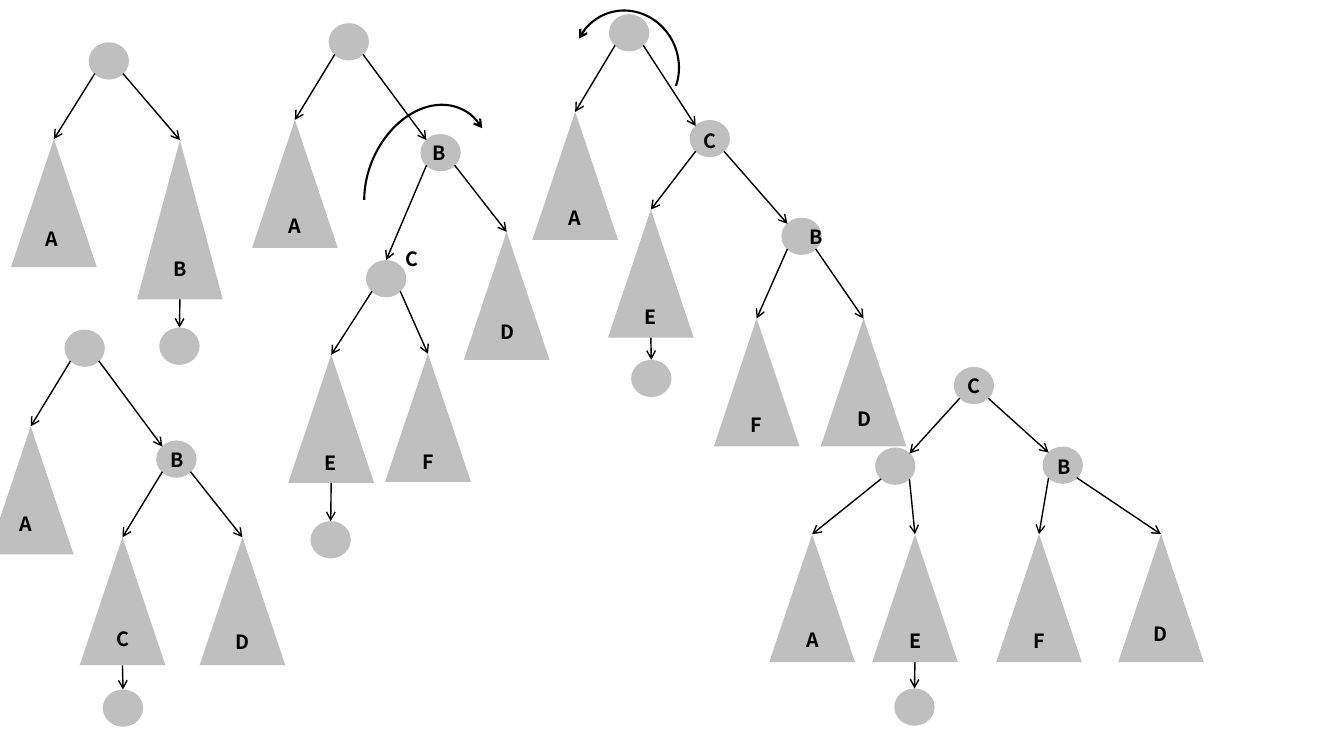
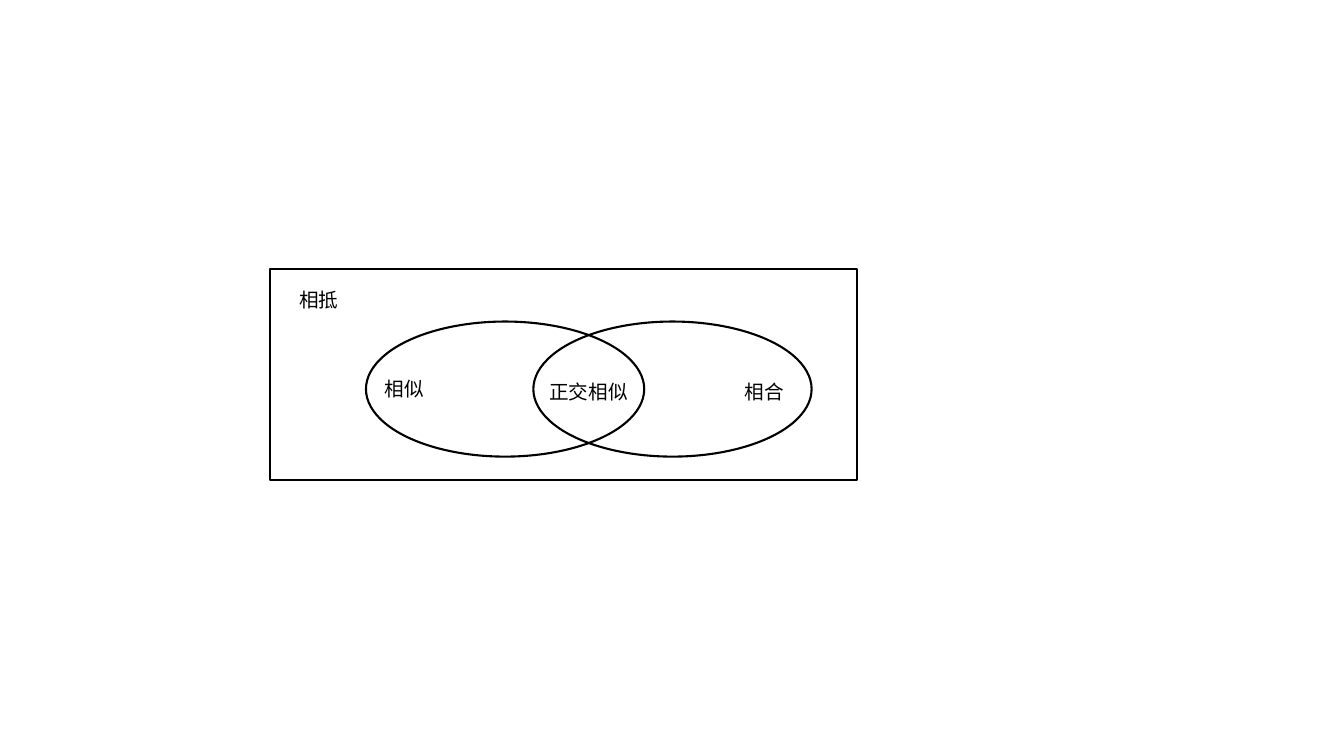
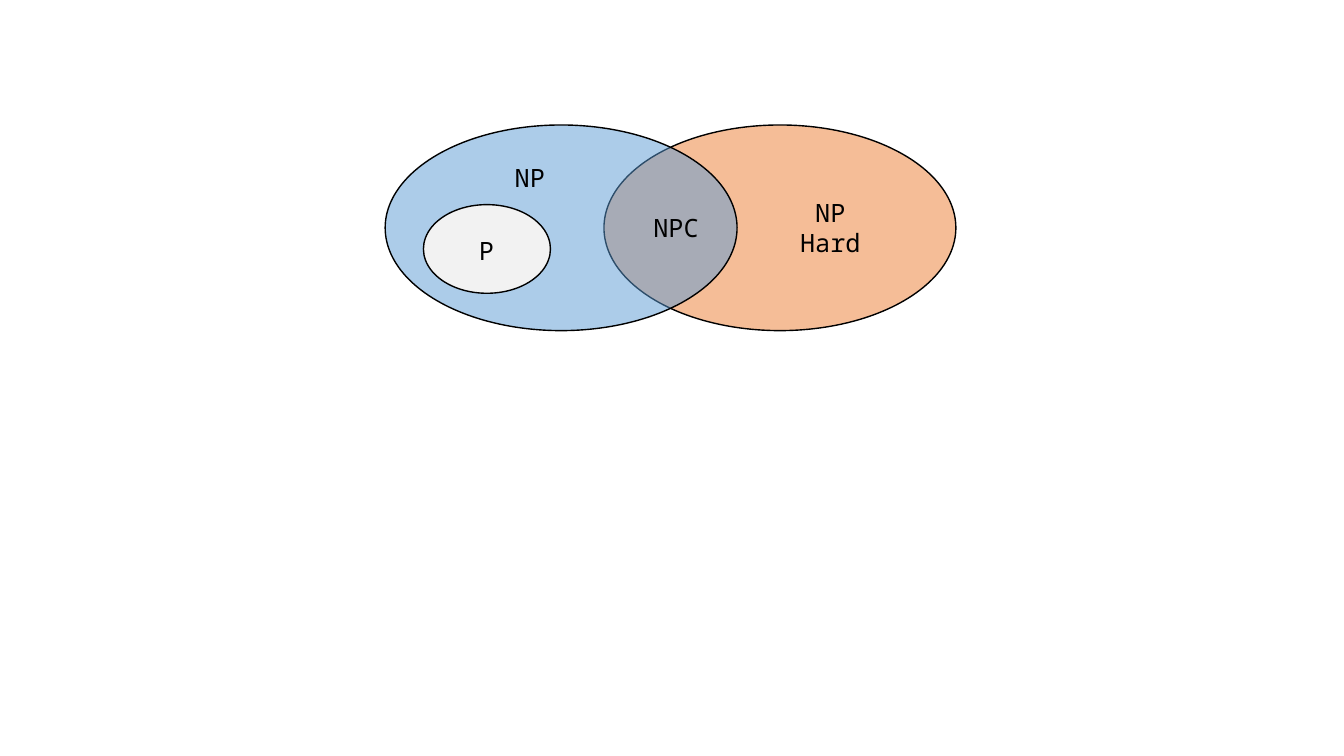
"""Build three diagram slides: tree rotations, similarity sets and complexity classes."""
from lxml.etree import SubElement
from pptx import Presentation
from pptx.dml.color import RGBColor
from pptx.enum.shapes import MSO_CONNECTOR, MSO_SHAPE
from pptx.enum.text import MSO_AUTO_SIZE, PP_ALIGN
from pptx.oxml.ns import qn
from pptx.util import Inches, Pt

BLACK = RGBColor(0x00, 0x00, 0x00)
GREY = RGBColor(0xBF, 0xBF, 0xBF)
PALE = RGBColor(0xF2, 0xF2, 0xF2)
BLUE = RGBColor(0x5B, 0x9B, 0xD5)
ORANGE = RGBColor(0xED, 0x7D, 0x31)

CIRCLE_W, CIRCLE_H = 0.4, 0.37
TRIANGLE_W, TRIANGLE_H = 0.85, 1.27
LABEL_W, LABEL_H = 0.66, 0.34
INSET = 0.06

TREE_LABEL = {"name": "Noto Sans CJK SC", "size": Pt(14), "bold": True}
SET_LABEL = {"name": "Noto Sans Mono", "size": Pt(14)}
CLASS_LABEL = {"name": "Noto Sans Mono", "size": Pt(18)}

TREES = [
    {"circles": {"root": (0.88, 0.42), "leaf": (1.58, 3.25)},
     "triangles": {"A": (0.11, 1.38), "B": (1.36, 1.39, 1.58)},
     "labels": {"A": (0.18, 2.2), "B": (1.46, 2.5)},
     "edges": ["root A", "root B", "B leaf"]},
    {"circles": {"root": (0.64, 3.27), "B": (1.55, 4.37), "leaf": (1.02, 6.84)},
     "triangles": {"A": (-0.12, 4.23), "C": (0.79, 5.33), "D": (1.98, 5.33)},
     "labels": {"A": (-0.07, 5.03), "B": (1.43, 4.39), "C": (0.89, 6.17),
                "D": (2.08, 6.2)},
     "edges": ["root A", "root B", "B C", "B D", "C leaf"]},
    {"circles": {"root": (3.26, 0.23), "B": (4.17, 1.33), "C": (3.63, 2.58),
                 "leaf": (3.08, 5.17)},
     "triangles": {"A": (2.5, 1.19), "D": (4.6, 2.3), "E": (2.86, 3.52),
                   "F": (3.82, 3.51)},
     "labels": {"A": (2.59, 2.07), "B": (4.03, 1.35), "C": (3.76, 2.4),
                "D": (4.7, 3.12), "E": (2.95, 4.42), "F": (3.92, 4.41)},
     "edges": ["root A", "root B", "B C", "B D", "C E", "C F", "E leaf"]},
    {"circles": {"root": (6.04, 0.14), "C": (6.84, 1.19), "B": (7.75, 2.16),
                 "leaf": (6.26, 3.57)},
     "triangles": {"A": (5.28, 1.11), "E": (6.03, 2.08), "F": (7.08, 3.16),
                   "D": (8.14, 3.16)},
     "labels": {"A": (5.37, 1.99), "B": (7.77, 2.18), "C": (6.71, 1.23),
                "D": (8.24, 3.99), "E": (6.12, 2.98), "F": (7.17, 4.05)},
     "edges": ["root A", "root C", "C E", "C B", "B F", "B D", "E leaf"]},
    {"circles": {"C": (9.46, 3.64), "root": (8.68, 4.44), "B": (10.34, 4.43),
                 "leaf": (8.87, 6.83)},
     "triangles": {"A": (7.63, 5.3), "E": (8.65, 5.3), "F": (9.88, 5.3),
                   "D": (11.09, 5.3)},
     "labels": {"A": (7.73, 6.18), "B": (10.23, 4.46), "C": (9.33, 3.66),
                "D": (11.18, 6.12), "E": (8.75, 6.19), "F": (9.98, 6.19)},
     "edges": ["C root", "C B", "root A", "root E", "B F", "B D", "E leaf"]},
]
ROTATIONS = [
    ((3.44, 1.22, 1.61, 1.19), 293.3, (139.12, 12.85), "tailEnd"),
    ((5.69, 0.1, 1.04, 1.1), 337.9, (139.12, 26.6), "headEnd"),
]

SET_SHAPES = [
    (MSO_SHAPE.RECTANGLE, (2.68, 2.67, 5.82, 2.09)),
    (MSO_SHAPE.OVAL, (3.63, 3.19, 2.76, 1.34)),
    (MSO_SHAPE.OVAL, (5.29, 3.19, 2.76, 1.34)),
]
SET_LABELS = [("相抵", 2.87, 2.81), ("相似", 3.72, 3.69),
              ("相合", 7.29, 3.72), ("正交相似", 5.35, 3.72)]

CLASS_SHAPES = [
    ((5.99, 1.24, 3.49, 2.04), ORANGE, 50),
    ((3.82, 1.24, 3.49, 2.04), BLUE, 50),
    ((4.2, 2.03, 1.26, 0.88), PALE, 100),
]
CLASS_LABELS = [("NPC", 6.2, 2.06, 0.4), ("NP Hard", 7.73, 1.91, 0.71),
                ("NP", 4.75, 1.56, 0.4), ("P", 4.32, 2.29, 0.4)]


def add_figure(slide, kind, box, fill=None, line=None, opacity=100):
    sp = slide.shapes.add_shape(kind, *map(Inches, box))
    sp.shadow.inherit = False
    if fill is None:
        sp.fill.background()
    else:
        sp.fill.solid()
        sp.fill.fore_color.rgb = fill
        if opacity < 100:
            color = sp._element.spPr.find(qn("a:solidFill"))[0]
            SubElement(color, qn("a:alpha"), val=str(opacity * 1000))
    if line is None:
        sp.line.fill.background()
    else:
        sp.line.color.rgb = BLACK
        sp.line.width = Pt(line)
    return sp


def add_label(slide, text, box, style, align=PP_ALIGN.CENTER):
    tf = slide.shapes.add_textbox(*map(Inches, box)).text_frame
    tf.word_wrap = True
    tf.auto_size = MSO_AUTO_SIZE.SHAPE_TO_FIT_TEXT
    p = tf.paragraphs[0]
    p.alignment = align
    r = p.add_run()
    r.text = text
    r.font.color.rgb = BLACK
    for name, value in style.items():
        setattr(r.font, name, value)
    SubElement(r.font._element, qn("a:ea"), typeface=style["name"])


def add_arrowhead(sp, end):
    SubElement(sp._element.spPr.find(qn("a:ln")), qn(f"a:{end}"), type="arrow")


def add_arrow(slide, start, end, target=None):
    c = slide.shapes.add_connector(MSO_CONNECTOR.STRAIGHT, *map(Inches, start + end))
    if target is not None:
        c.end_connect(target, 0)
    c.line.color.rgb = BLACK
    c.line.width = Pt(1)
    add_arrowhead(c, "tailEnd")
    SubElement(c._element.spPr, qn("a:effectLst"))


def add_tree(slide, tree):
    boxes = {n: (x, y, CIRCLE_W, CIRCLE_H) for n, (x, y) in tree["circles"].items()}
    for name, (x, y, *height) in tree["triangles"].items():
        boxes[name] = (x, y, TRIANGLE_W, height[0] if height else TRIANGLE_H)
    nodes = {}
    for name, box in boxes.items():
        kind = MSO_SHAPE.OVAL if name in tree["circles"] else MSO_SHAPE.ISOSCELES_TRIANGLE
        nodes[name] = add_figure(slide, kind, box, GREY)
    for edge in tree["edges"]:
        parent, child = edge.split()
        (px, py, pw, ph), (cx, cy, cw, ch) = boxes[parent], boxes[child]
        dx, dy = cx + cw / 2 - px - pw / 2, cy - py
        side = 1 if dx > 0 else -1
        if parent in tree["triangles"]:
            start = (px + pw / 2, py + ph)
        else:
            start = (px + pw / 2 + side * (pw / 2 - INSET), py + ph - INSET)
        if child in tree["triangles"] or dy > 2 * abs(dx):
            add_arrow(slide, start, (cx + cw / 2, cy), nodes[child])
        else:
            add_arrow(slide, start,
                      (cx + cw / 2 - side * (cw / 2 - INSET), cy + INSET))
    for text, (x, y) in tree["labels"].items():
        add_label(slide, text, (x, y, LABEL_W, LABEL_H), TREE_LABEL)


def build_rotations(slide):
    for tree in TREES:
        add_tree(slide, tree)
    for box, rotation, angles, end in ROTATIONS:
        sp = add_figure(slide, MSO_SHAPE.ARC, box, line=1.5)
        sp.rotation = rotation
        for i, angle in enumerate(angles):
            sp.adjustments[i] = angle
        add_arrowhead(sp, end)


def build_sets(slide):
    for kind, box in SET_SHAPES:
        add_figure(slide, kind, box, line=1.5)
    for text, x, y in SET_LABELS:
        add_label(slide, text, (x, y, 1.24, LABEL_H), SET_LABEL, PP_ALIGN.LEFT)


def build_classes(slide):
    for box, fill, opacity in CLASS_SHAPES:
        add_figure(slide, MSO_SHAPE.OVAL, box, fill, 1, opacity)
    for text, x, y, h in CLASS_LABELS:
        add_label(slide, text, (x, y, 1.01, h), CLASS_LABEL)


def main():
    prs = Presentation()
    prs.slide_width, prs.slide_height = Inches(13.33), Inches(7.5)
    for build in (build_rotations, build_sets, build_classes):
        build(prs.slides.add_slide(prs.slide_layouts[6]))
    prs.save("out.pptx")


if __name__ == "__main__":
    main()
